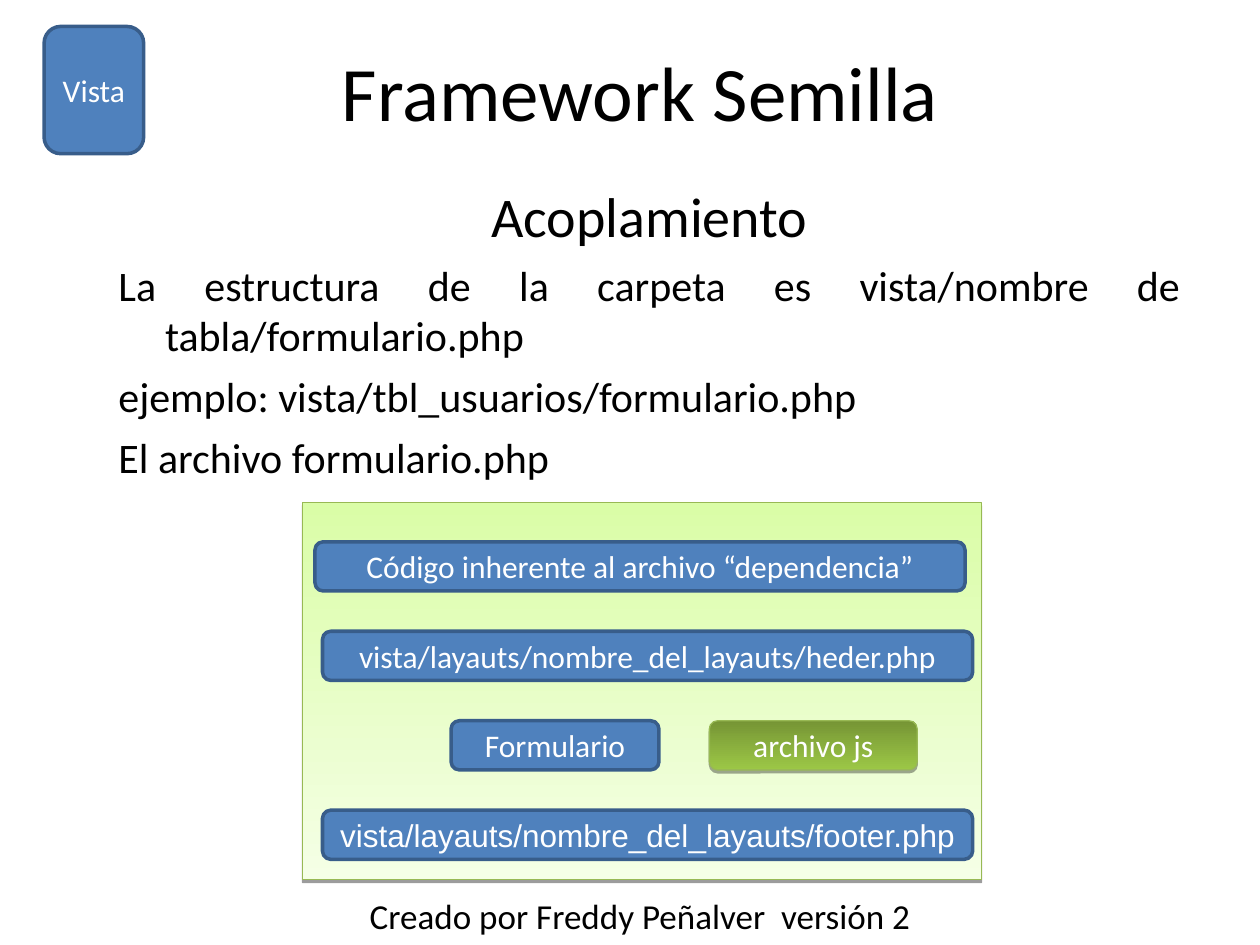
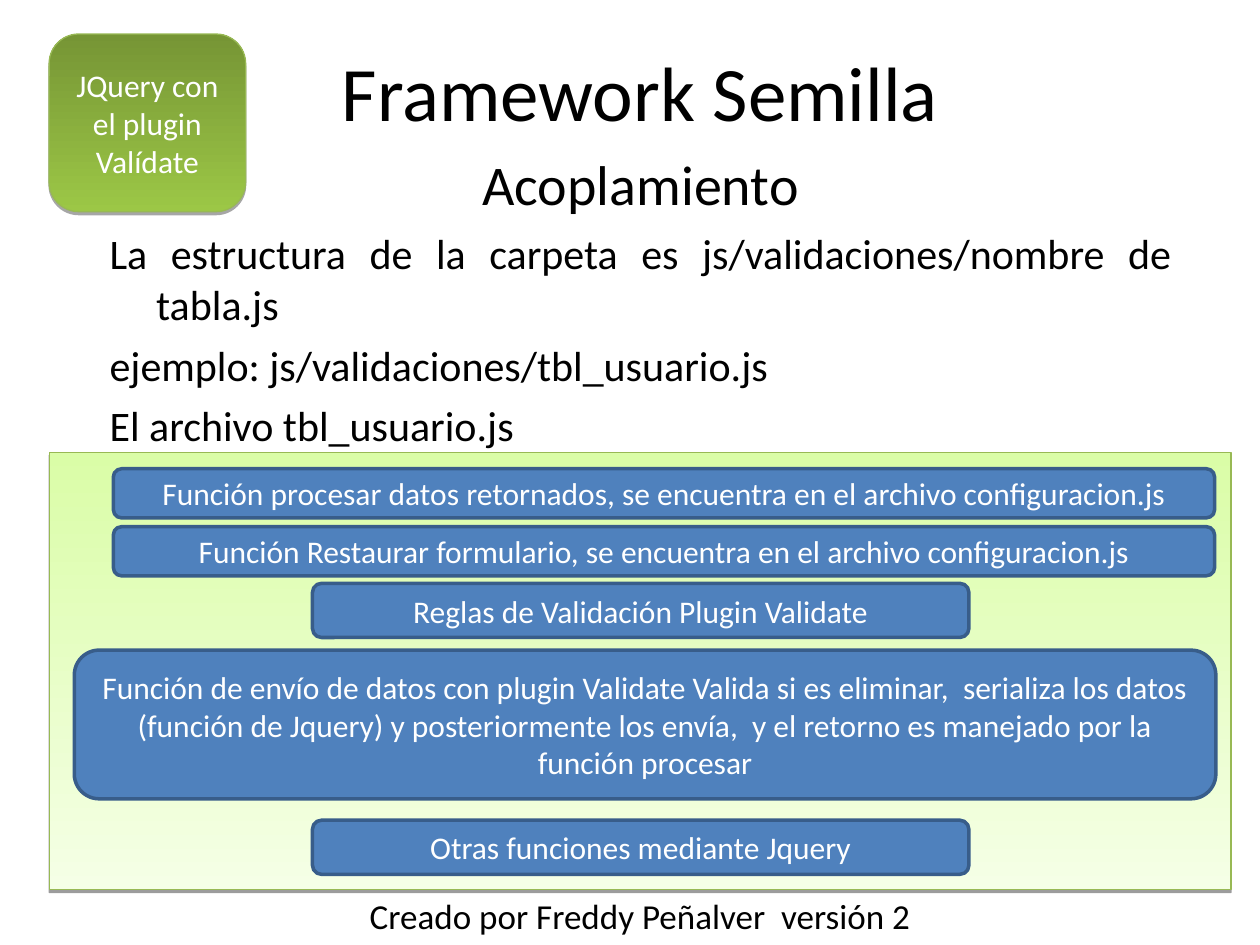
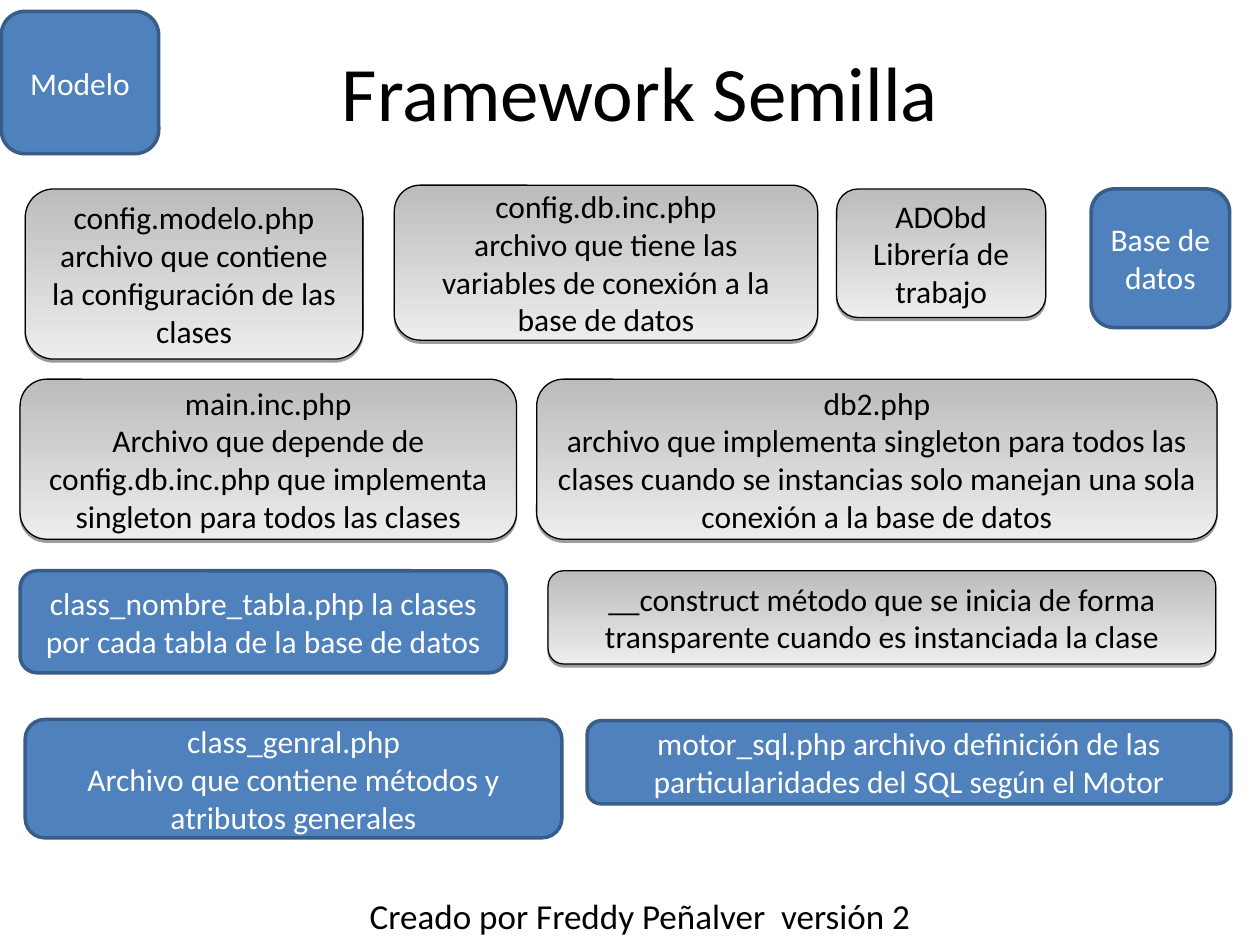
from lxml import etree
from pptx import Presentation, util as u
from pptx.dml import color
from pptx.enum import shapes, text
from pptx.oxml import ns

Inches, Pt = u.Inches, u.Pt
ALIGN, ANCHOR = text.PP_ALIGN, text.MSO_ANCHOR
SHAPE = shapes.MSO_SHAPE

BLACK, WHITE = "000000", "FFFFFF"
# Box styles: fill colours (bottom to top), line, line width, text colour, shadow opacity
BLUE = (["4F81BD"], "385D8A", 2, WHITE, None)
GREEN = (["9CC746", "769535"], "98B954", 0.75, WHITE, 35)
LIME = (["F5FFE6", "DAFDA7"], "98B954", 0.75, BLACK, 38)
GRAY = (["EDEDED", "BCBCBC"], BLACK, 0.75, BLACK, 38)


def rgb(value):
    return color.RGBColor.from_string(value)


def add_child(parent, tag, **attributes):
    return etree.SubElement(parent, ns.qn(tag), attributes)


class Builder:
    """Holds the style and the current slide."""

    def __init__(self):
        self.deck = Presentation()
        self.deck.slide_width, self.deck.slide_height = Inches(10), Inches(7.5)
        self.page = None

    def place(self, box, left, top, width, height):
        box.left, box.top = Inches(left), Inches(top)
        box.width, box.height = Inches(width), Inches(height)

    def set_text(self, box, content, size, ink=BLACK, font="Calibri",
                 align=ALIGN.CENTER, anchor=ANCHOR.MIDDLE):
        frame = box.text_frame
        frame.text = content
        frame.word_wrap = True
        frame.auto_size = text.MSO_AUTO_SIZE.NONE
        frame.vertical_anchor = anchor
        for para in frame.paragraphs:
            para.alignment = align
            for span in para.runs:
                span.font.size, span.font.name = Pt(size), font
                span.font.color.rgb = rgb(ink)

    def new_page(self, layout):
        """Start a slide with the shared title and footer."""
        self.page = self.deck.slides.add_slide(self.deck.slide_layouts[layout])
        title = self.page.shapes.title
        self.place(title, 0.39, 0.23, 9.38, 0.98)
        self.set_text(title, "Framework Semilla", 44)
        footer = self.page.shapes.add_textbox(
            Inches(0.39), Inches(7.03), Inches(9.38), Inches(0.47))
        self.set_text(footer, "Creado por Freddy Peñalver  versión 2", 20)

    def body(self, left, top, height, lines):
        """A centred heading followed by justified lines with hanging indents."""
        box = self.page.placeholders[1]
        self.place(box, left, top, 8.64, height)
        self.set_text(box, "\n".join(["Acoplamiento"] + lines), 24,
                      align=ALIGN.JUSTIFY, anchor=ANCHOR.TOP)
        for para in box.text_frame.paragraphs:
            para.space_before = Pt(6)
            properties = para._p.get_or_add_pPr()
            properties.set("marL", str(Inches(0.38)))
            properties.set("indent", str(Inches(-0.37)))
            add_child(properties, "a:buNone")
        heading = box.text_frame.paragraphs[0]
        heading.alignment, heading.space_before = ALIGN.CENTER, Pt(8)
        heading.runs[0].font.size = Pt(32)

    def box(self, style, left, top, width, height, content="",
            font="Calibri", preset=SHAPE.ROUNDED_RECTANGLE):
        fills, line, weight, ink, opacity = style
        box = self.page.shapes.add_shape(
            preset, Inches(left), Inches(top), Inches(width), Inches(height))
        if len(fills) == 1:
            box.fill.solid()
            box.fill.fore_color.rgb = rgb(fills[0])
        else:
            box.fill.gradient()
            box.fill.gradient_angle = 90
            for stop, value in zip(box.fill.gradient_stops, fills):
                stop.color.rgb = rgb(value)
        box.line.color.rgb, box.line.width = rgb(line), Pt(weight)
        box.shadow.inherit = False
        if opacity:
            self.shadow(box, opacity)
        if content:
            self.set_text(box, content, 18, ink, font)
        return box

    def shadow(self, box, opacity):
        effects = box._element.spPr.find(ns.qn("a:effectLst"))
        outer = add_child(effects, "a:outerShdw", dist=str(Pt(1.7)),
                          dir="5400000", rotWithShape="0")
        shade = add_child(outer, "a:srgbClr", val=BLACK)
        add_child(shade, "a:alpha", val=str(opacity * 1000))

    def panel(self, left, top, width, height):
        """A light rectangle behind everything else."""
        panel = self.box(LIME, left, top, width, height, preset=SHAPE.RECTANGLE)
        self.page.shapes._spTree.insert(2, panel._element)


show = Builder()

# Slide 1: view
show.new_page(1)
show.panel(2.4, 3.99, 5.39, 2.99)
show.body(0.83, 1.39, 4.95, [
    "La estructura de la carpeta es vista/nombre de tabla/formulario.php",
    "ejemplo: vista/tbl_usuarios/formulario.php",
    "El archivo formulario.php"])
show.box(BLUE, 0.35, 0.21, 0.79, 1.01, "Vista")
rows = [4.3 + 0.71 * i for i in range(4)]
show.box(BLUE, 2.5, rows[0], 5.16, 0.39, "Código inherente al archivo “dependencia”")
show.box(BLUE, 2.56, rows[1], 5.16, 0.39, "vista/layauts/nombre_del_layauts/heder.php")
show.box(BLUE, 3.58, rows[2], 1.65, 0.39, "Formulario")
show.box(GREEN, 5.63, rows[2], 1.65, 0.39, "archivo js")
show.box(BLUE, 2.56, rows[3], 5.16, 0.39,
         "vista/layauts/nombre_del_layauts/footer.php", font="Arial")

# Slide 2: validation
show.new_page(1)
show.panel(0.39, 3.59, 9.38, 3.47)
show.body(0.76, 1.14, 5.64, [
    "La estructura de la carpeta es js/validaciones/nombre de tabla.js",
    "ejemplo: js/validaciones/tbl_usuario.js",
    "El archivo tbl_usuario.js"])
show.box(GREEN, 0.39, 0.27, 1.56, 1.41, "JQuery con el plugin Valídate")
for left, top, width, height, content in [
    (0.9, 3.72, 8.74, 0.39,
     "Función procesar datos retornados, se encuentra en el archivo configuracion.js"),
    (0.9, 4.18, 8.74, 0.39,
     "Función Restaurar formulario, se encuentra en el archivo configuracion.js"),
    (2.48, 4.63, 5.21, 0.43, "Reglas de Validación Plugin Validate"),
    (0.59, 5.16, 9.06, 1.18,
     "Función de envío de datos con plugin Validate Valida si es eliminar,  "
     "serializa los datos (función de Jquery) y posteriormente los envía,  "
     "y el retorno es manejado por la función procesar"),
    (2.48, 6.51, 5.21, 0.43, "Otras funciones mediante Jquery"),
]:
    show.box(BLUE, left, top, width, height, content)

# Slide 3: model
show.new_page(5)
for style, left, top, width, height, content in [
    (BLUE, 0.01, 0.09, 1.25, 1.13, "Modelo"),
    (GRAY, 0.2, 1.5, 2.68, 1.35,
     "config.modelo.php archivo que contiene la configuración de las clases"),
    (GRAY, 3.13, 1.47, 3.36, 1.23,
     "config.db.inc.php\narchivo que tiene las variables de conexión a la base de datos"),
    (GRAY, 6.64, 1.5, 1.66, 1.02, "ADObd Librería de trabajo"),
    (BLUE, 8.66, 1.5, 1.1, 1.1, "Base de datos"),
    (GRAY, 0.16, 3.01, 3.94, 1.27,
     "main.inc.php\nArchivo que depende de config.db.inc.php que implementa "
     "singleton para todos las clases"),
    (GRAY, 4.26, 3.01, 5.4, 1.27,
     "db2.php\narchivo que implementa singleton para todos las clases cuando se "
     "instancias solo manejan una sola conexión a la base de datos"),
    (BLUE, 0.16, 4.53, 3.86, 0.81,
     "class_nombre_tabla.php la clases por cada tabla de la base de datos"),
    (GRAY, 4.35, 4.53, 5.3, 0.74,
     "__construct método que se inicia de forma transparente cuando es "
     "instanciada la clase"),
    (BLUE, 0.2, 5.71, 4.26, 0.94,
     "class_genral.php\nArchivo que contiene métodos y atributos generales"),
    (BLUE, 4.66, 5.72, 5.11, 0.66,
     "motor_sql.php archivo definición de las particularidades del SQL según el Motor"),
]:
    show.box(style, left, top, width, height, content)

show.deck.save("out.pptx")
